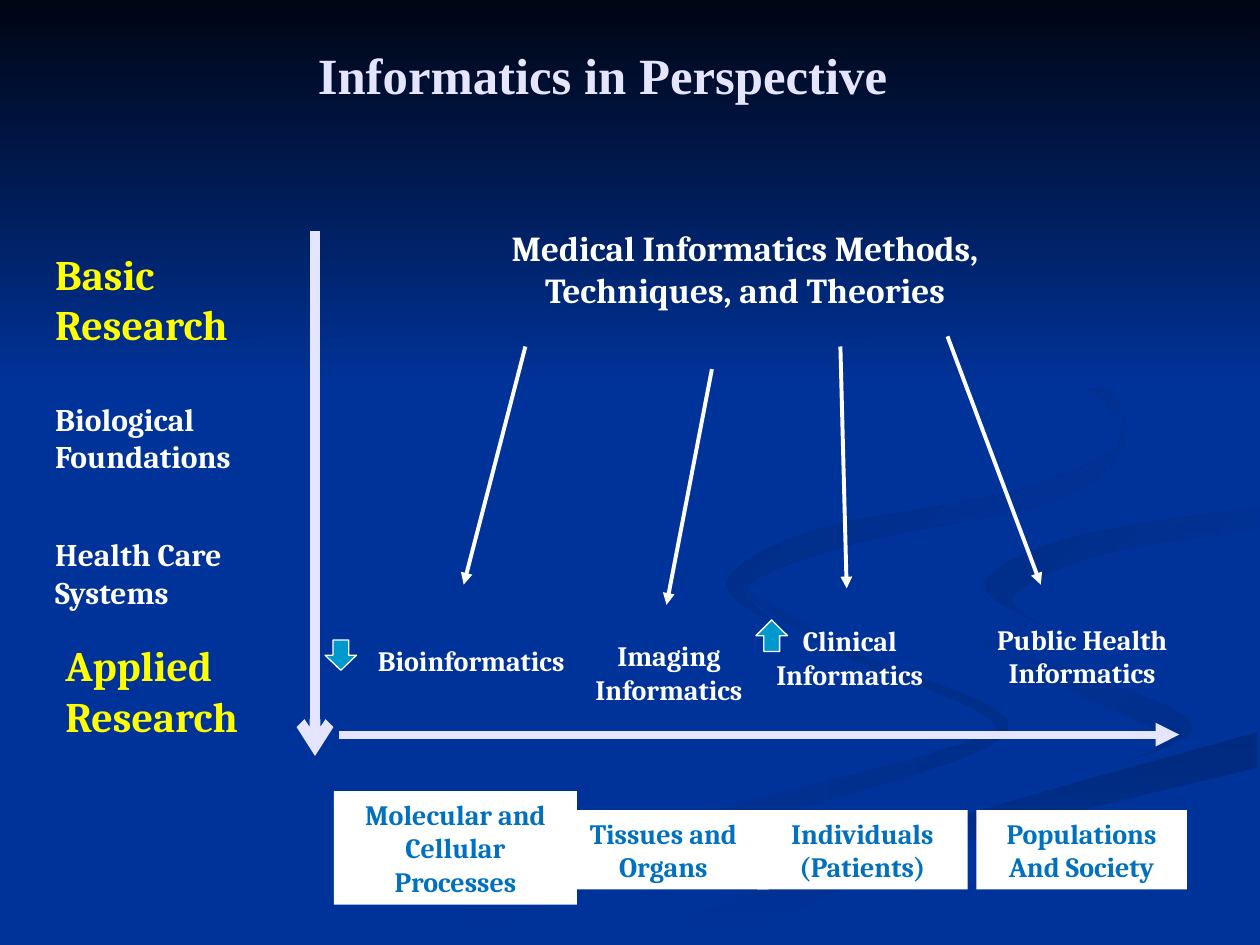
from lxml import etree
from pptx import Presentation
from pptx.dml.color import RGBColor
from pptx.enum import shapes, text
from pptx.oxml.ns import qn
from pptx.util import Inches, Pt

COLORS = {
    "blue": "003399", "night": "000514", "lavender": "E5E5FF",
    "yellow": "FFFF00", "white": "FFFFFF", "label": "0070C0", "teal": "0099CC",
    "shade_low": "002E8B", "shade_tail": "002A7D", "shade_right": "002D86",
    "shade_curl": "002B82",
}

SWIRLS = [
    ("blue", "shade_low", 0,
     [(3, 7.49), (4.58, 6.74), (7.39, 5.98), (7.85, 5.7), (6.54, 5.13), (5.75, 4.59)],
     [(5.75, 4.59), (6.82, 5.19), (8, 5.81), (5.94, 6.56), (3.61, 7.49)]),
    ("blue", "shade_low", 45,
     [(8.94, 6.05), (9.18, 5.81), (7.97, 5.24), (7.24, 4.64)],
     [(7.24, 4.64), (7.74, 5.03), (9.43, 5.7), (8.94, 6.05)]),
    ("shade_tail", "blue", 90,
     [(5.03, 7.49), (6.96, 6.69), (9.98, 5.81)],
     [(9.98, 6.09), (7.52, 6.72), (5.71, 7.49)]),
    ("shade_right", "blue", 45,
     [(8.26, 4.96), (7.81, 4.63), (8.49, 4.27), (9.98, 4.02)],
     [(9.98, 4.2), (8.78, 4.39), (8.05, 4.72), (8.26, 4.96)]),
    ("shade_curl", "blue", 45,
     [(7.62, 2.33), (8.54, 2.83), (8.94, 3.44), (8.41, 3.96), (6.83, 4.3),
      (5.94, 4.65), (6.22, 5)],
     [(6.22, 5), (5.77, 4.62), (6.49, 4.2), (8.18, 3.86), (8.89, 3.35), (7.62, 2.33)]),
]


def rgb(name):
    return RGBColor.from_string(COLORS[name])


def inches(box):
    return [Inches(length) for length in box]


def inside(box, x, y, width, height):
    return box[0] + x, box[1] + y, width, height


def smooth(edge, steps=6):
    padded = [edge[0], *edge, edge[-1]]
    curve = []
    for before, start, end, after in zip(padded, padded[1:], padded[2:], padded[3:]):
        for step in range(steps):
            t = step / steps
            curve.append([
                b + t * (c - a + t * (2 * a - 5 * b + 4 * c - d
                                      + t * (3 * b - a - 3 * c + d))) / 2
                if t else b
                for a, b, c, d in zip(before, start, end, after)])
    return curve + [edge[-1]]


def paint(shape, start, end=None, angle=0):
    shape.shadow.inherit = False
    shape.line.fill.background()
    if end is None:
        shape.fill.solid()
        shape.fill.fore_color.rgb = rgb(start)
        return
    shape.fill.gradient()
    shape.fill.gradient_angle = (360 - angle) % 360
    for stop, name in zip(shape.fill.gradient_stops, (start, end)):
        stop.color.rgb = rgb(name)


def write(shape, lines, size, color, align=text.PP_ALIGN.CENTER, wrap=True,
          font="Cambria"):
    frame = shape.text_frame
    frame.text = "\n".join(lines)
    frame.word_wrap = wrap
    frame.vertical_anchor = text.MSO_ANCHOR.TOP
    for paragraph in frame.paragraphs:
        paragraph.alignment = align
        for run in paragraph.runs:
            run.font.name = font
            run.font.size = Pt(size)
            run.font.bold = True
            run.font.color.rgb = rgb(color)
    return frame.paragraphs


def add_label(slide, box, lines, size, color, **options):
    return write(slide.shapes.add_textbox(*inches(box)), lines, size, color, **options)


def add_arrow(slide, start, end, color, width, head="triangle"):
    arrow = slide.shapes.add_connector(
        shapes.MSO_CONNECTOR.STRAIGHT, *inches((*start, *end)))
    arrow.line.color.rgb = rgb(color)
    arrow.line.width = Pt(width)
    etree.SubElement(arrow.line._get_or_add_ln(), qn("a:tailEnd"), type=head)
    etree.SubElement(arrow._element.spPr, qn("a:effectLst"))


def draw_backdrop(slide, box):
    left, top, width, _ = box
    slide.background.fill.solid()
    slide.background.fill.fore_color.rgb = rgb("blue")
    for start, end, angle, outward, homeward in SWIRLS:
        outline = [inches((left + x, top + y))
                   for x, y in smooth(outward) + smooth(homeward)]
        builder = slide.shapes.build_freeform(*outline[0])
        builder.add_line_segments(outline[1:], close=True)
        paint(builder.convert_to_shape(), start, end, angle)
    sky = slide.shapes.add_shape(
        shapes.MSO_SHAPE.RECTANGLE, *inches((left, top, width, 3.08)))
    paint(sky, "night", "blue", 90)


def place_title(slide, box):
    title = slide.shapes.title
    slide.shapes._spTree.append(title._element)
    title.left, title.top, title.width, title.height = inches(box)
    write(title, ["Informatics in Perspective"], 29, "lavender", font="Times New Roman")


def draw_research_axis(slide, box):
    left, top, width, height = box
    lines = ["Basic", "Research", "Biological", "Foundations", "Health Care", "Systems"]
    levels = add_label(slide, inside(box, 0, 0.09, 2, 2.97), lines, 18, "white",
                       align=text.PP_ALIGN.LEFT, wrap=False)
    for level in levels[:2]:
        level.runs[0].font.size = Pt(24)
        level.runs[0].font.color.rgb = rgb("yellow")
    levels[2].space_before = Pt(29)
    levels[4].space_before = Pt(34)
    add_arrow(slide, (left + width, top), (left + width, top + height),
              "lavender", 6, "arrow")
    add_label(slide, inside(box, 0.08, 3.2, 2.01, 0.9), ["Applied", "Research"],
              24, "yellow", align=text.PP_ALIGN.LEFT)


def draw_fields(slide, box):
    left, top, width, _ = box
    add_label(slide, inside(box, 0.6, 0, 5.33, 0.77),
              ["Medical Informatics Methods, Techniques, and Theories"], 20, "white")
    fields = [
        ("Imaging Informatics", (1.86, 3.27, 1.6, 0.9), (3, 1.18), (2.64, 3.05)),
        ("Clinical Informatics", (3.11, 3.15, 1.97, 0.64), (4.02, 1), (4.07, 2.92)),
        ("Bioinformatics", (0, 3.31, 2.18, 0.37), (1.52, 1), (1.03, 2.89)),
        ("Public Health Informatics", (4.86, 3.14, 2.16, 0.64), (4.87, 0.92), (5.61, 2.89)),
    ]
    for name, place, start, end in fields:
        add_label(slide, inside(box, *place), [name], 16, "white")
        add_arrow(slide, (left + start[0], top + start[1]),
                  (left + end[0], top + end[1]), "white", 2.25)
    add_arrow(slide, (left + 0.04, top + 4.08), (left + width - 0.06, top + 4.08),
              "lavender", 4.5)


def draw_scales(slide, box):
    small = (0.15, 1.67, 0.63)
    scales = [
        (["Molecular and", "Cellular", "Processes"], (0, 0, 1.93, 0.9)),
        (["Tissues and", "Organs"], (1.78, *small)),
        (["Individuals", "(Patients)"], (3.36, *small)),
        (["Populations", "And Society"], (5.1, *small)),
    ]
    for lines, place in scales:
        scale = slide.shapes.add_shape(
            shapes.MSO_SHAPE.RECTANGLE, *inches(inside(box, *place)))
        paint(scale, "white")
        write(scale, lines, 16, "label", wrap=False)


def draw_marker(slide, box, preset):
    marker = slide.shapes.add_shape(preset, *inches(box))
    paint(marker, "teal")
    marker.line.color.rgb = rgb("white")
    marker.line.width = Pt(0.75)


def main():
    deck = Presentation()
    deck.slide_width, deck.slide_height = Inches(10), Inches(7.5)
    slide = deck.slides.add_slide(deck.slide_layouts[5])
    draw_backdrop(slide, (0, 0, 10, 7.5))
    place_title(slide, (0.66, 0.3, 8.25, 1.02))
    draw_research_axis(slide, (0.34, 1.83, 2.16, 4.17))
    draw_fields(slide, (2.65, 1.75, 6.77, 4.17))
    draw_scales(slide, (2.65, 6.28, 6.77, 0.9))
    draw_marker(slide, (2.58, 5.08, 0.25, 0.24), shapes.MSO_SHAPE.DOWN_ARROW)
    draw_marker(slide, (6, 4.92, 0.25, 0.25), shapes.MSO_SHAPE.UP_ARROW)
    deck.save("out.pptx")


if __name__ == "__main__":
    main()
